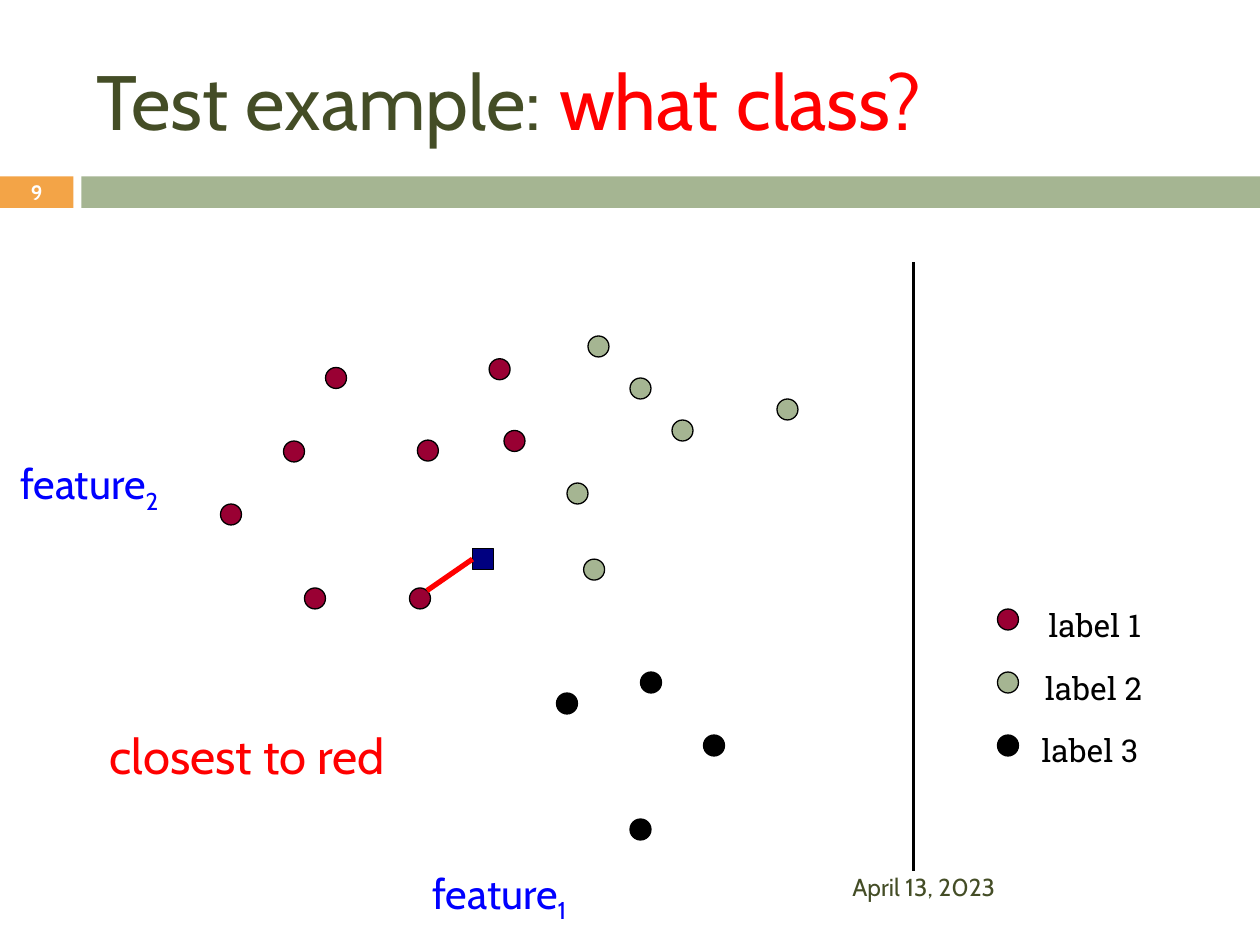
from pptx import Presentation
from pptx.dml.color import RGBColor
from pptx.enum.shapes import MSO_CONNECTOR as Connector, MSO_SHAPE as Preset
from pptx.enum.text import MSO_ANCHOR as Anchor, PP_ALIGN as Align
from pptx.oxml.ns import qn
from pptx.util import Pt

COLORS = {
    "olive": "444D26", "red": "FF0000", "blue": "0000FF", "black": "000000",
    "white": "FFFFFF", "orange": "F3A447", "sage": "A5B592",
    "crimson": "990033", "navy": "000080",
}
LABELS = {"label 1": "crimson", "label 2": "sage", "label 3": "black"}
EXAMPLES = {
    "label 1": [(60, 18), (36, 60), (48, 144), (153.5, 13), (0, 96),
                (112.5, 59.5), (162, 54), (108, 144)],
    "label 2": [(198, 84), (210, 0), (207.5, 127.5), (234, 24), (318, 36),
                (258, 48)],
    "label 3": [(240, 192), (192, 204), (234, 276), (276, 228)],
}
MARK = 12


def color(name):
    return RGBColor.from_string(COLORS[name])


def add_figure(page, preset, box, fill, outlined=False):
    figure = page.shapes.add_shape(preset, *map(Pt, box))
    figure.shadow.inherit = False
    figure.fill.solid()
    figure.fill.fore_color.rgb = color(fill)
    if outlined:
        figure.line.color.rgb = color("black")
        figure.line.width = Pt(0.75)
    else:
        figure.line.fill.background()
    return figure


def add_line(page, start, end, shade, width):
    line = page.shapes.add_connector(Connector.STRAIGHT, *map(Pt, start + end))
    line.line.color.rgb = color(shade)
    line.line.width = Pt(width)
    properties = line._element.spPr
    properties.append(properties.makeelement(qn("a:effectLst"), {}))
    return line


def add_text(page, box, spans, size, font="Cabin", anchor=Anchor.TOP,
             align=Align.LEFT, bold=False, wrap=True):
    """Add one paragraph made of (text, color name) spans; return its spans."""
    frame = page.shapes.add_textbox(*map(Pt, box)).text_frame
    frame.word_wrap = wrap
    frame.vertical_anchor = anchor
    para = frame.paragraphs[0]
    para.alignment = align
    for text, shade in spans:
        span = para.add_run()
        span.text = text
        span.font.name = font
        span.font.size = Pt(size)
        span.font.bold = bold
        span.font.color.rgb = color(shade)
    return para.runs


def add_header(page, left, top, width):
    add_text(page, (left + 48, top + 18, 642, 78),
             [("Test example: ", "olive"), ("what class?", "red")], 44,
             anchor=Anchor.MIDDLE)
    number_box = (left, top + 100.8, 42, 18)
    add_figure(page, Preset.RECTANGLE, number_box, "orange")
    add_figure(page, Preset.RECTANGLE,
               (left + 46.5, top + 100.8, width - 46.5, 18), "sage")
    add_text(page, number_box, [("9", "white")], 11.9, anchor=Anchor.MIDDLE,
             align=Align.CENTER, bold=True)


def add_plot(page, left, top):
    for label, places in EXAMPLES.items():
        for x, y in places:
            add_figure(page, Preset.OVAL, (left + x, top + y, MARK, MARK),
                       LABELS[label], outlined=True)
    test_x, test_y = left + 144, top + 121.5
    test_mark = add_figure(page, Preset.RECTANGLE,
                           (test_x, test_y, MARK, MARK), "navy", outlined=True)
    nearest = add_line(page, (left + 118, top + 145.5),
                       (test_x, test_y + MARK / 2), "red", 3)
    nearest.end_connect(test_mark, 1)


def add_axis_name(page, left, top, index):
    spans = add_text(page, (left, top, 96, 36),
                     [("feature", "blue"), (index, "blue")], 24)
    spans[1]._r.get_or_add_rPr().set("baseline", "-25000")


def add_legend(page, left, top, height):
    add_line(page, (left, top), (left, top + height), "black", 2.25)
    for row, (label, shade) in enumerate(LABELS.items()):
        add_figure(page, Preset.OVAL,
                   (left + 48, top + 198 + 36 * row, MARK, MARK), shade,
                   outlined=True)
        add_text(page, (left + 70 - 2 * row, top + 193 + 35.5 * row, 71, 29),
                 [(label, "black")], 18, font="Roboto Slab", wrap=False)


def main():
    deck = Presentation()
    deck.slide_width, deck.slide_height = Pt(720), Pt(540)
    page = deck.slides.add_slide(deck.slide_layouts[6])
    add_header(page, 0, 0, 720)
    add_plot(page, 126, 192)
    add_legend(page, 522, 150, 348)
    add_axis_name(page, 240, 492, "1")
    add_axis_name(page, 4.5, 258, "2")
    add_text(page, (55.5, 411, 198, 41), [("closest to red", "red")], 28)
    add_text(page, (480, 492, 210, 29), [("April 13, 2023", "olive")], 14,
             anchor=Anchor.MIDDLE)
    deck.save("out.pptx")


if __name__ == "__main__":
    main()
